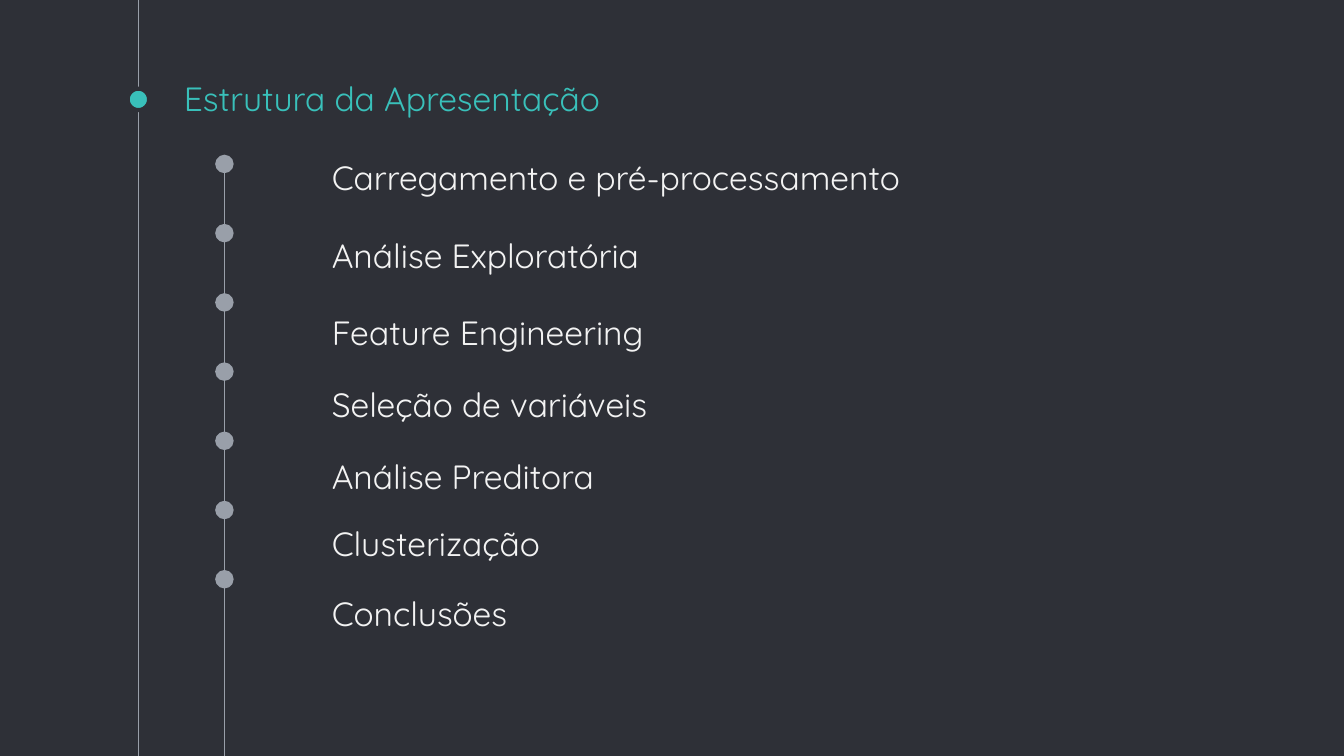
from lxml.etree import SubElement
from pptx import Presentation
from pptx.dml.color import RGBColor
from pptx.enum.shapes import MSO_CONNECTOR, MSO_SHAPE
from pptx.enum.text import MSO_ANCHOR
from pptx.oxml.ns import qn
from pptx.util import Inches, Pt

# Content: each topic with the top of its text box
TITLE = "Estrutura da Apresentação"
TOPICS = [
    ("Carregamento e pré-processamento", 1.07),
    ("Análise Exploratória", 1.65),
    ("Feature Engineering", 2.22),
    ("Seleção de variáveis", 2.76),
    ("Análise Preditora", 3.29),
    ("Clusterização", 3.79),
    ("Conclusões", 4.31),
]

# Style and layout, in inches on a 16:9 slide
FONT = "Quicksand"
DARK = RGBColor(0x2E, 0x30, 0x37)
GREY = RGBColor(0x99, 0x9F, 0xA9)
TEAL = RGBColor(0x39, 0xC0, 0xBA)
LIGHT = RGBColor(0xF3, 0xF3, 0xF3)
WIDTH = 10
HEIGHT = WIDTH * 9 / 16
SPINE_X, TIMELINE_X, TOPIC_X = 1.03, 1.67, 2.37
FIRST_DOT, LAST_DOT = 1.22, 4.31
MARKER = 0.16


def add_line(page, x, start, end, dotted=False):
    line = page.shapes.add_connector(
        MSO_CONNECTOR.STRAIGHT, Inches(x), Inches(start), Inches(x), Inches(end))
    line.line.color.rgb = GREY
    line.line.width = Pt(0.75)
    if dotted:
        SubElement(line.line._get_or_add_ln(), qn("a:tailEnd"),
                   type="oval", w="lg", len="lg")
    SubElement(line._element.spPr, qn("a:effectLst"))


def add_text(page, text, left, top, width, height, color, anchor=MSO_ANCHOR.TOP):
    box = page.shapes.add_textbox(
        Inches(left), Inches(top), Inches(width), Inches(height))
    frame = box.text_frame
    frame.text = text
    frame.word_wrap = True
    frame.vertical_anchor = anchor
    frame.margin_left = frame.margin_right = Inches(0.1)
    frame.margin_top = frame.margin_bottom = Inches(0.1)
    font = frame.paragraphs[0].runs[0].font
    font.name, font.size = FONT, Pt(18)
    font.color.rgb = color


deck = Presentation()
deck.slide_width, deck.slide_height = Inches(WIDTH), Inches(HEIGHT)
page = deck.slides.add_slide(deck.slide_layouts[6])
page.background.fill.solid()
page.background.fill.fore_color.rgb = DARK

# Spine with the title marker
add_line(page, SPINE_X, 0, HEIGHT)
marker = page.shapes.add_shape(
    MSO_SHAPE.OVAL, Inches(SPINE_X - MARKER / 2), Inches(0.66),
    Inches(MARKER), Inches(MARKER))
marker.shadow.inherit = False
marker.fill.solid()
marker.fill.fore_color.rgb = TEAL
marker.line.color.rgb = DARK
marker.line.width = Pt(2.25)
add_text(page, TITLE, 1.27, 0.6, 7.5, 0.38, TEAL, MSO_ANCHOR.BOTTOM)

# Timeline: evenly spaced dots, the last segment runs to the slide's edge
step = (LAST_DOT - FIRST_DOT) / (len(TOPICS) - 1)
dots = [FIRST_DOT + step * i for i in range(len(TOPICS))]
for dot, following in zip(dots, dots[1:] + [HEIGHT]):
    add_line(page, TIMELINE_X, following, dot, dotted=True)

# Topics
for topic, top in TOPICS:
    add_text(page, topic, TOPIC_X, top, 6.22, 0.31, LIGHT)

deck.save("out.pptx")
